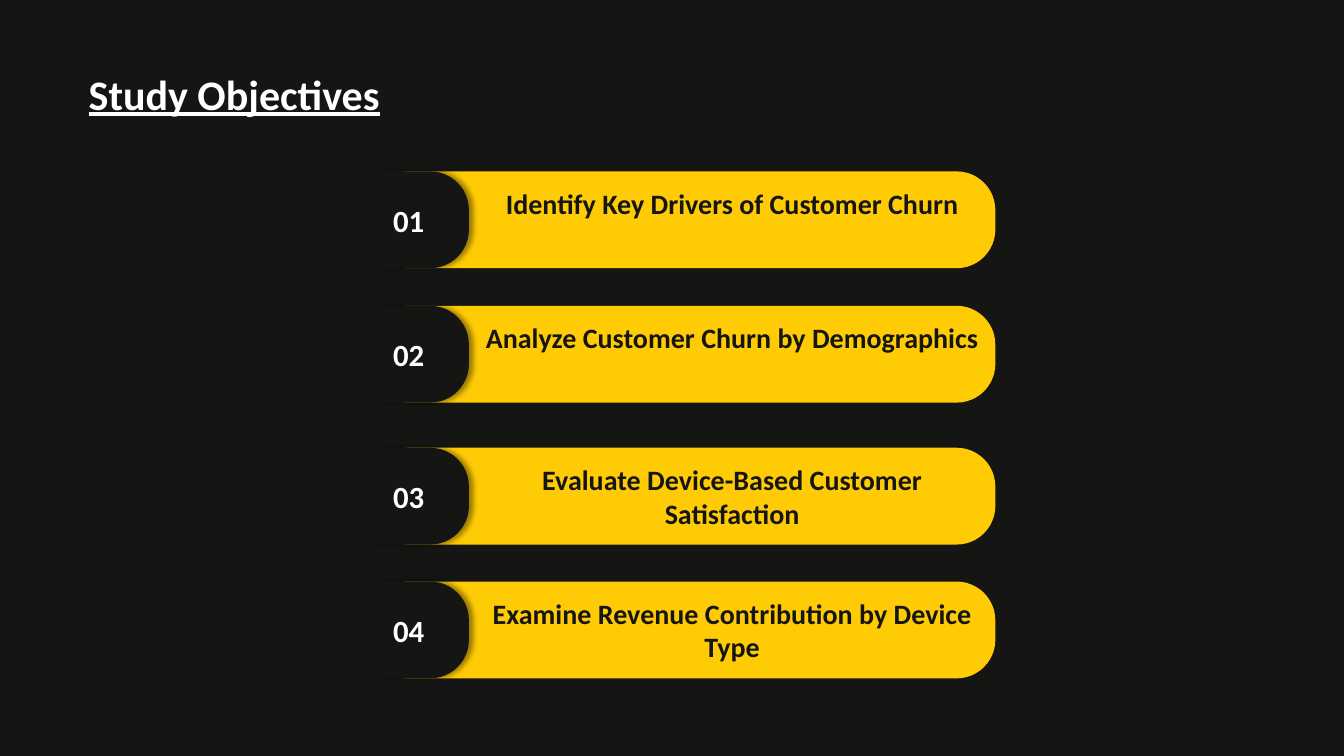
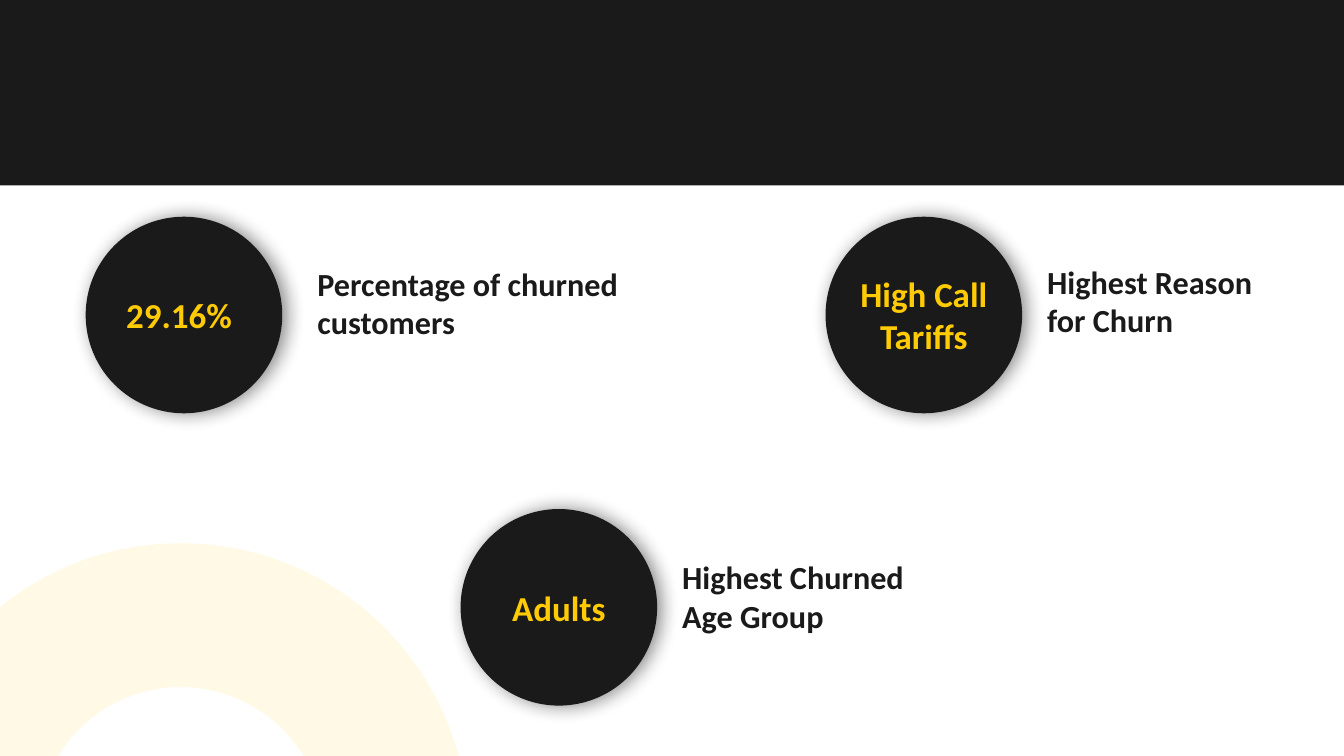
import pptx
import pptx.dml.color
import pptx.enum.shapes
import pptx.enum.text
import pptx.oxml.ns
import pptx.util
from dataclasses import dataclass
from lxml import etree

Pt = pptx.util.Pt
RGB = pptx.dml.color.RGBColor.from_string
SHAPE = pptx.enum.shapes.MSO_SHAPE
ALIGN = pptx.enum.text.PP_ALIGN
ANCHOR = pptx.enum.text.MSO_ANCHOR
qn = pptx.oxml.ns.qn


@dataclass(frozen=True)
class Theme:
    font: str = "Calibri"
    night: str = "151514"
    charcoal: str = "1A1A1A"
    yellow: str = "FFCB05"
    white: str = "FFFFFF"
    title_size: float = 30
    value_size: float = 25
    caption_size: float = 23
    number_size: float = 22
    objective_size: float = 20


THEME = Theme()
PAGE_WIDTH, PAGE_HEIGHT = 960, 540

TITLE = "Study Objectives"
# Objective, top of its bar
OBJECTIVES = [
    ("Identify Key Drivers of Customer Churn", 122.4),
    ("Analyze Customer Churn by Demographics", 218.4),
    ("Evaluate Device-Based Customer Satisfaction", 319.8),
    ("Examine Revenue Contribution by Device Type", 415.4),
]
BAR_LEFT, BAR_WIDTH, BAR_HEIGHT, BAR_ROUNDING = 264, 447, 69.2, 0.4
BADGE_LEFT, BADGE_WIDTH = 249, 86

# Value, value's right inset, circle left and top, caption, caption's left, top and width
FINDINGS = [
    ("29.16%", 7, 61.2, 154.8, "Percentage of churned customers", 219.6, 185, 230.4),
    ("High Call\nTariffs", 0, 589.7, 154.8, "Highest Reason\nfor Churn", 740.9, 183.6, 174.2),
    ("Adults", 0, 329, 363.6, "Highest Churned Age Group", 480.2, 394.6, 174.2),
]
CIRCLE_SIZE = 140.4
CAPTION_HEIGHT = 63.4
BAND_HEIGHT = 132.5
ARC_LEFT, ARC_TOP, ARC_SIZE = -76.3, 388, 411


def write(shape, text, size, color, align=ALIGN.LEFT, anchor=ANCHOR.TOP):
    frame = shape.text_frame
    frame.text = text
    frame.word_wrap = True
    frame.vertical_anchor = anchor
    for para in frame.paragraphs:
        para.alignment = align
        for span in para.runs:
            span.font.name = THEME.font
            span.font.size = Pt(size)
            span.font.bold = True
            span.font.color.rgb = RGB(color)


def set_insets(frame, left=0, top=0, right=0, bottom=0):
    frame.margin_left, frame.margin_top = Pt(left), Pt(top)
    frame.margin_right, frame.margin_bottom = Pt(right), Pt(bottom)


def add_text(page, place, *style):
    box = page.shapes.add_textbox(*map(Pt, place))
    write(box, *style)


def add_filled(page, kind, place, color):
    shape = page.shapes.add_shape(kind, *map(Pt, place))
    shape.shadow.inherit = False
    shape.fill.solid()
    shape.fill.fore_color.rgb = RGB(color)
    shape.line.fill.background()
    return shape


def set_alpha(color_element, percent):
    etree.SubElement(color_element, qn("a:alpha"), val=str(percent * 1000))


def cast_shadow(shape, opacity, blur, distance=3):
    effects = shape.element.spPr.find(qn("a:effectLst"))
    shadow = etree.SubElement(effects, qn("a:outerShdw"), blurRad=str(Pt(blur)),
                              dist=str(Pt(distance)), dir="0", rotWithShape="0")
    set_alpha(etree.SubElement(shadow, qn("a:srgbClr"), val="000000"), opacity)


def add_title(page, text):
    title = page.shapes.title
    title.left, title.top, title.width, title.height = map(Pt, (0, 21.6, 334.8, 54.7))
    write(title, text, THEME.title_size, THEME.white, ALIGN.CENTER)
    set_insets(title.text_frame)
    title.text_frame.auto_size = pptx.enum.text.MSO_AUTO_SIZE.NONE
    para = title.text_frame.paragraphs[0]
    para.line_spacing = Pt(63)
    para.runs[0].font.underline = True


def add_objective(page, number, text, top):
    bar = add_filled(page, SHAPE.ROUNDED_RECTANGLE,
                     (BAR_LEFT, top, BAR_WIDTH, BAR_HEIGHT), THEME.yellow)
    badge = add_filled(page, SHAPE.ROUNDED_RECTANGLE,
                       (BADGE_LEFT, top, BADGE_WIDTH, BAR_HEIGHT), THEME.night)
    for shape in (bar, badge):
        shape.adjustments[0] = BAR_ROUNDING
    cast_shadow(badge, opacity=40, blur=4)
    write(badge, f"{number:02}", THEME.number_size, THEME.white, ALIGN.CENTER, ANCHOR.MIDDLE)
    text_left = BADGE_LEFT + BADGE_WIDTH
    add_text(page, (text_left, top + 7, BAR_LEFT + BAR_WIDTH - text_left, 55.4),
             text, THEME.objective_size, THEME.night, ALIGN.CENTER)


def add_finding(page, value, right_inset, left, top, caption,
                caption_left, caption_top, caption_width):
    circle = add_filled(page, SHAPE.OVAL, (left, top, CIRCLE_SIZE, CIRCLE_SIZE), THEME.charcoal)
    cast_shadow(circle, opacity=48, blur=14)
    write(circle, value, THEME.value_size, THEME.yellow, ALIGN.CENTER, ANCHOR.MIDDLE)
    set_insets(circle.text_frame, right=right_inset)
    add_text(page, (caption_left, caption_top, caption_width, CAPTION_HEIGHT),
             caption, THEME.caption_size, THEME.charcoal)


def build_objectives(deck):
    page = deck.slides.add_slide(deck.slide_layouts.get_by_name("Title Only"))
    page.background.fill.solid()
    page.background.fill.fore_color.rgb = RGB(THEME.night)
    add_title(page, TITLE)
    for number, (text, top) in enumerate(OBJECTIVES, 1):
        add_objective(page, number, text, top)


def build_findings(deck):
    page = deck.slides.add_slide(deck.slide_layouts.get_by_name("Blank"))
    add_filled(page, SHAPE.RECTANGLE, (0, 0, PAGE_WIDTH, BAND_HEIGHT), THEME.charcoal)
    arc = add_filled(page, SHAPE.BLOCK_ARC, (ARC_LEFT, ARC_TOP, ARC_SIZE, ARC_SIZE), THEME.yellow)
    set_alpha(arc.element.spPr.find(qn("a:solidFill"))[0], 10)
    for finding in FINDINGS:
        add_finding(page, *finding)


def main():
    deck = pptx.Presentation()
    deck.slide_width, deck.slide_height = Pt(PAGE_WIDTH), Pt(PAGE_HEIGHT)
    build_objectives(deck)
    build_findings(deck)
    deck.save("out.pptx")


if __name__ == "__main__":
    main()
